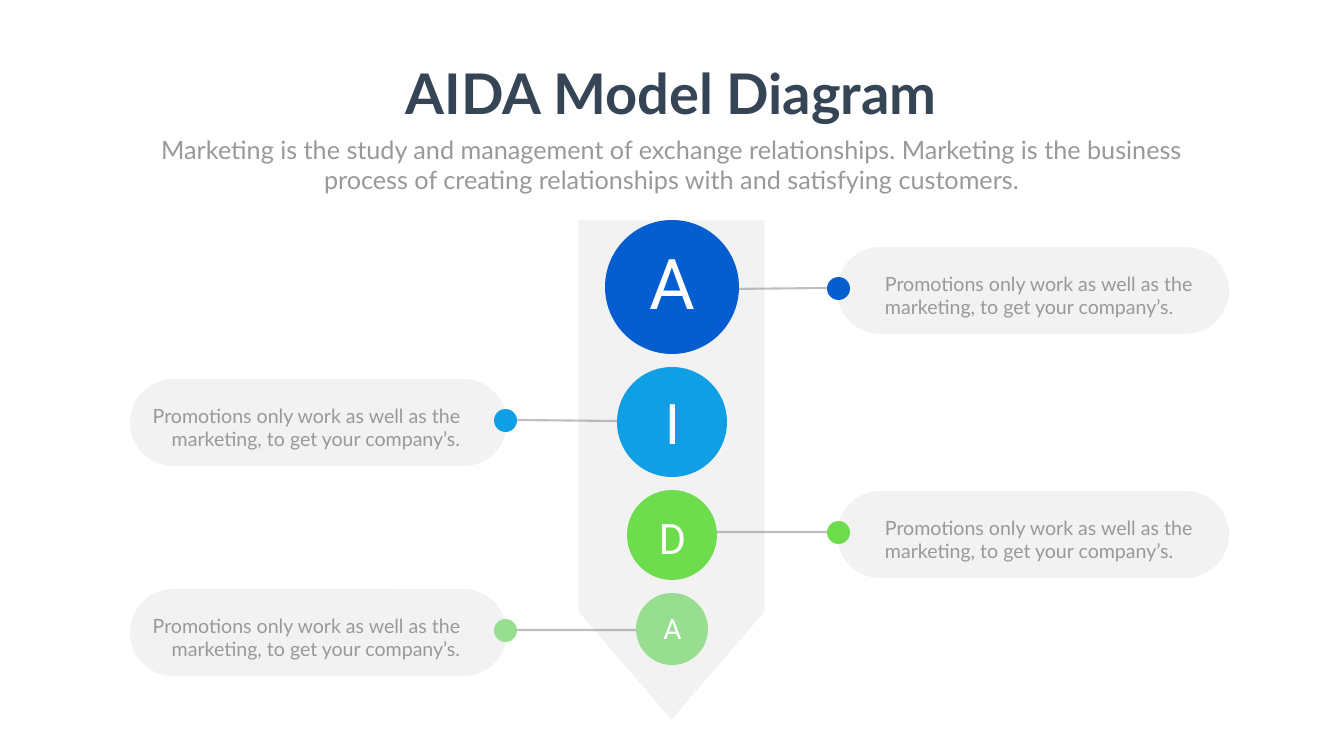
from dataclasses import dataclass

from lxml.etree import SubElement
from pptx import Presentation
from pptx.dml.color import RGBColor
from pptx.enum.shapes import MSO_CONNECTOR, MSO_SHAPE
from pptx.enum.text import MSO_ANCHOR, MSO_AUTO_SIZE, PP_ALIGN
from pptx.oxml.ns import qn
from pptx.util import Pt

EMU_PER_PIXEL = 914400 / 50.4
COLORS = {
    "heading": "364556", "body": "999999", "gray": "808080", "white": "FFFFFF",
    "attention": "045ED0", "interest": "109FE4", "desire": "6EDD4D", "action": "98DE91",
}
CENTER_X = 672
DOT_SIZE = 23
CALLOUT_TEXT = "Promotions only work as well as the marketing, to get your company’s."
SUBTITLE = ("Marketing is the study and management of exchange relationships. Marketing is the "
            "business process of creating relationships with and satisfying customers.")


@dataclass(frozen=True)
class Side:
    """Horizontal layout of the callouts on one side of the arrow."""
    pill_x: int
    pill_width: int
    text_x: int
    text_width: int
    dot_x: int
    line_end_x: int
    align: PP_ALIGN


@dataclass(frozen=True)
class Stage:
    """One letter of the model with its badge and callout."""
    letter: str
    color: str
    badge_y: int
    badge_size: int
    letter_y: int
    letter_height: int
    letter_points: int
    callout_y: int
    line_start: tuple[int, int]
    side: Side


LEFT = Side(130, 377, 130, 335, 494, 517, PP_ALIGN.RIGHT)
RIGHT = Side(837, 392, 880, 350, 827, 827, PP_ALIGN.LEFT)
STAGES = (
    Stage("A", "attention", 220, 134, 237, 90, 100, 288, (727, 289), RIGHT),
    Stage("I", "interest", 367, 110, 386, 73, 80, 420, (617, 421), LEFT),
    Stage("D", "desire", 490, 90, 510, 56, 60, 532, (682, 532), RIGHT),
    Stage("A", "action", 593, 72, 609, 39, 40, 630, (672, 630), LEFT),
)


def px(*lengths: int) -> list[int]:
    """Turn picture pixels into EMU."""
    return [round(length * EMU_PER_PIXEL) for length in lengths]


def paint(color_format, color: str, opacity: int = 100) -> None:
    """Set a solid colour on a fill or line fill, with optional transparency."""
    color_format.solid()
    color_format.fore_color.rgb = RGBColor.from_string(COLORS[color])
    if opacity < 100:
        for color_element in color_format._xPr.iter(qn("a:srgbClr")):
            SubElement(color_element, qn("a:alpha"), val=str(opacity * 1000))


def add_shape(slide, kind: MSO_SHAPE, box: tuple, color: str, opacity: int = 100):
    """Add a flat preset shape without outline."""
    shape = slide.shapes.add_shape(kind, *px(*box))
    shape.shadow.inherit = False
    shape.line.fill.background()
    paint(shape.fill, color, opacity)
    return shape


def write(shape, text: str, *, size: int, color: str, font: str = "Lato",
          bold: bool = False, align: PP_ALIGN = PP_ALIGN.CENTER, wrap: bool = True) -> None:
    """Put one formatted paragraph into a shape."""
    frame = shape.text_frame
    frame.word_wrap = wrap
    frame.auto_size = MSO_AUTO_SIZE.NONE
    frame.vertical_anchor = MSO_ANCHOR.TOP
    paragraph = frame.paragraphs[0]
    paragraph.alignment = align
    run = paragraph.add_run()
    run.text = text
    run.font.name, run.font.size, run.font.bold = font, Pt(size), bold
    run.font.color.rgb = RGBColor.from_string(COLORS[color])


def add_text(slide, box: tuple, text: str, **text_format) -> None:
    """Add a text box."""
    write(slide.shapes.add_textbox(*px(*box)), text, **text_format)


def add_callout(slide, stage: Stage) -> None:
    """Draw the line, pill, text and dot of one stage."""
    side, y = stage.side, stage.callout_y
    line = slide.shapes.add_connector(
        MSO_CONNECTOR.STRAIGHT, *px(*stage.line_start, side.line_end_x, y))
    line.line.width = Pt(3)
    paint(line.line.fill, "gray", 50)
    SubElement(line._element.spPr, qn("a:effectLst"))
    pill = add_shape(slide, MSO_SHAPE.ROUNDED_RECTANGLE,
                     (side.pill_x, y - 41, side.pill_width, 87), "gray", 10)
    pill.adjustments[0] = 0.5
    add_text(slide, (side.text_x, y - 19, side.text_width, 52), CALLOUT_TEXT,
             size=28, color="body", align=side.align)
    add_shape(slide, MSO_SHAPE.OVAL,
              (side.dot_x, y - DOT_SIZE // 2, DOT_SIZE, DOT_SIZE), stage.color)


def add_badge(slide, stage: Stage) -> None:
    """Draw the circle and letter of one stage."""
    size = stage.badge_size
    add_shape(slide, MSO_SHAPE.OVAL,
              (CENTER_X - size // 2, stage.badge_y, size, size), stage.color)
    add_text(slide, (CENTER_X - 29, stage.letter_y, 59, stage.letter_height), stage.letter,
             size=stage.letter_points, color="white", font="Roboto")


def add_heading(slide) -> None:
    """Fill the title placeholder and add the subtitle."""
    title = slide.shapes.title
    title.left, title.top, title.width, title.height = px(396, 56, 551, 73)
    write(title, "AIDA Model Diagram", size=80, color="heading", bold=True, wrap=False)
    add_text(slide, (147, 132, 1049, 66), SUBTITLE, size=36, color="body")


def main() -> None:
    """Build and save the presentation."""
    presentation = Presentation()
    presentation.slide_width, presentation.slide_height = px(1344, 756)
    slide = presentation.slides.add_slide(presentation.slide_layouts[5])
    add_heading(slide)
    for stage in STAGES:
        add_callout(slide, stage)
    arrow = add_shape(slide, MSO_SHAPE.PENTAGON, (422, 377, 499, 186), "gray", 10)
    arrow.rotation = 90
    arrow.adjustments[0] = 0.58
    for stage in STAGES:
        add_badge(slide, stage)
    presentation.save("out.pptx")


main()
